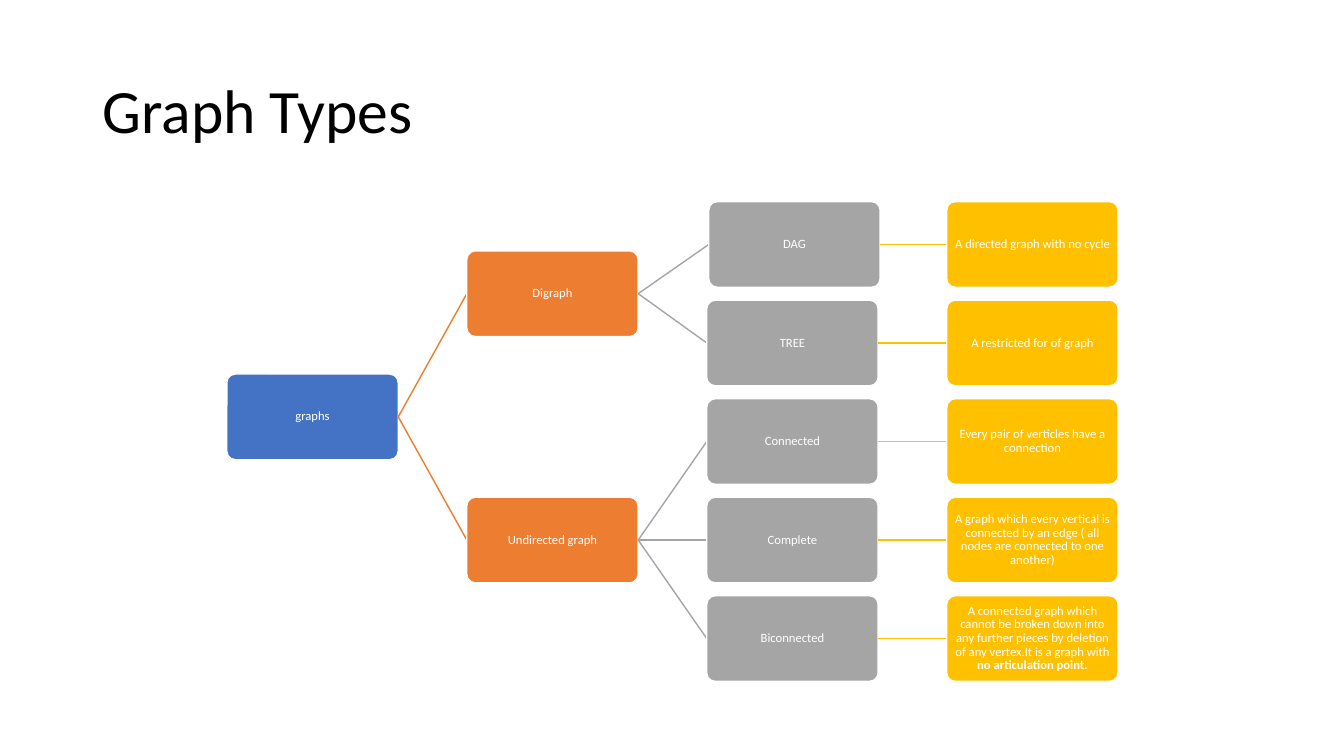
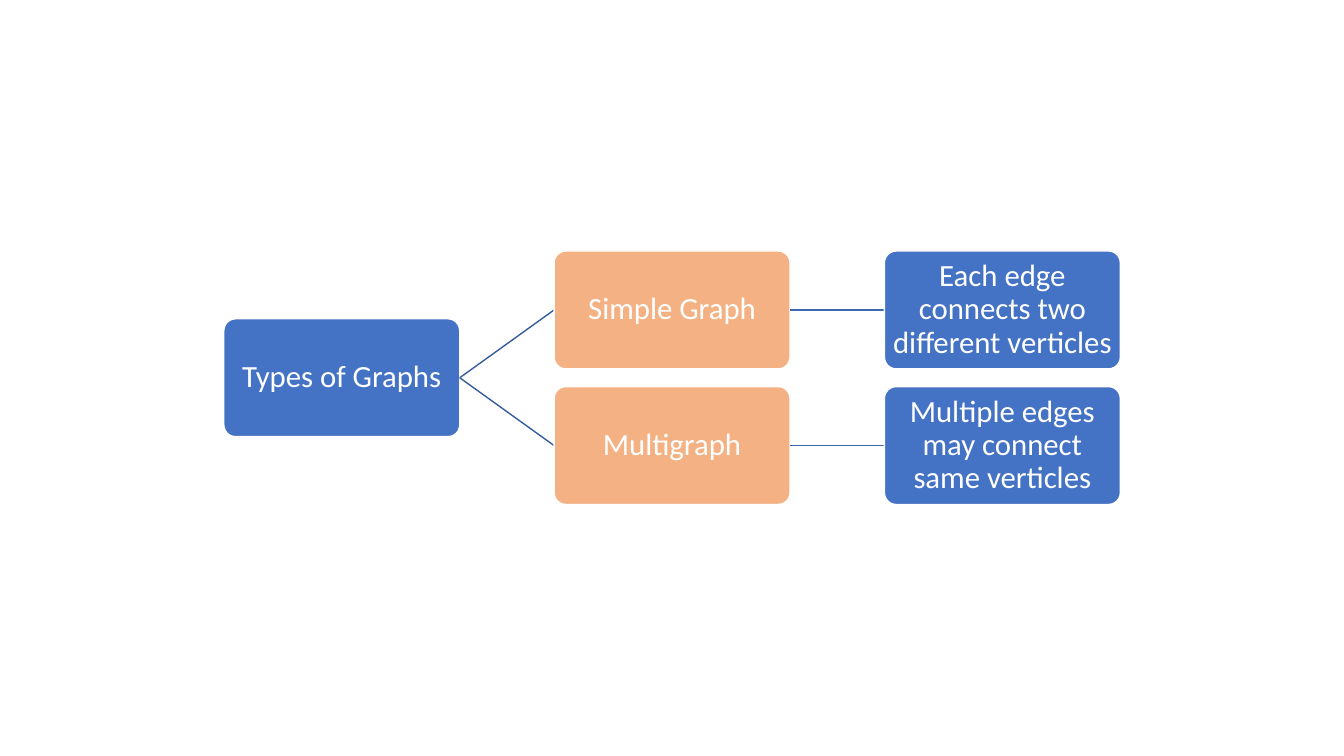
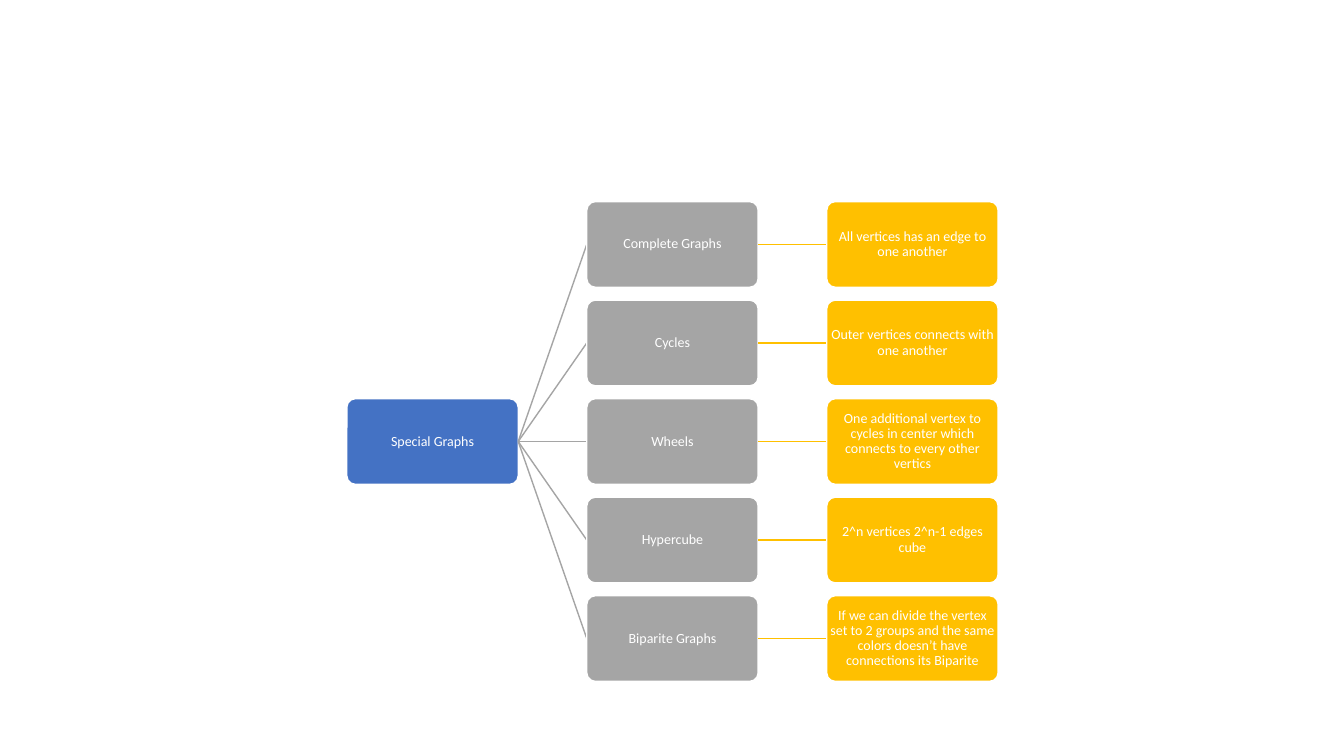
from dataclasses import dataclass

from lxml.etree import SubElement
from pptx import Presentation
from pptx.dml.color import RGBColor
from pptx.enum.shapes import MSO_CONNECTOR as Connector, MSO_SHAPE as Shape
from pptx.enum.text import MSO_ANCHOR as Anchor, PP_ALIGN as Align
from pptx.oxml.ns import qn
from pptx.util import Inches, Pt

BLACK = RGBColor(0x00, 0x00, 0x00)
WHITE = RGBColor(0xFF, 0xFF, 0xFF)
BLUE = RGBColor(0x44, 0x72, 0xC4)
DARK_BLUE = RGBColor(0x36, 0x5B, 0x9D)
MID_BLUE = RGBColor(0x3E, 0x67, 0xB2)
ORANGE = RGBColor(0xED, 0x7D, 0x31)
PEACH = RGBColor(0xF4, 0xB1, 0x83)
GRAY = RGBColor(0xA5, 0xA5, 0xA5)
GOLD = RGBColor(0xFF, 0xC0, 0x00)

FONT = "Calibri"
TITLE_ONLY, BLANK = 5, 6
LEFT_SITE, RIGHT_SITE = 1, 3


@dataclass
class Node:
    text: str
    children: tuple = ()
    bold_ending: str = ""
    shift: float = 0

    def leaf_count(self):
        return sum(child.leaf_count() for child in self.children) or 1

    def centre_row(self, first_row):
        """Row halfway between the first and the last child."""
        if not self.children:
            return first_row
        last = self.children[-1]
        last_row = first_row + self.leaf_count() - last.leaf_count()
        return (self.children[0].centre_row(first_row)
                + last.centre_row(last_row)) / 2


@dataclass
class TreeStyle:
    """Place and look of a tree; fills and links hold one colour per level."""
    left: float
    top: float
    box_height: float
    text_size: int
    margin: float
    fills: tuple
    links: tuple

    @property
    def box_width(self):
        return 2 * self.box_height

    @property
    def column_step(self):
        return 1.4 * self.box_width

    @property
    def row_step(self):
        return 1.15 * self.box_height


def set_all(target, values):
    for name, value in values.items():
        setattr(target, name, value)


def add_run(paragraph, text, size, color, bold=False):
    run = paragraph.add_run()
    run.text = text
    set_all(run.font, {"name": FONT, "size": Pt(size), "bold": bold})
    run.font.color.rgb = color


def add_title(slide, text):
    title = slide.shapes.title
    set_all(title, {"left": Inches(0.92), "top": Inches(0.4),
                    "width": Inches(11.5), "height": Inches(1.45)})
    title.text_frame.vertical_anchor = Anchor.MIDDLE
    paragraph = title.text_frame.paragraphs[0]
    set_all(paragraph, {"alignment": Align.LEFT, "line_spacing": 0.9})
    add_run(paragraph, text, 44, BLACK)


def add_link(slide, color):
    link = slide.shapes.add_connector(Connector.STRAIGHT, 0, 0, 0, 0)
    link.line.color.rgb = color
    link.line.width = Pt(1)
    SubElement(link._element.spPr, qn("a:effectLst"))
    return link


def add_box(slide, node, style, level, row):
    box = slide.shapes.add_shape(
        Shape.ROUNDED_RECTANGLE,
        Inches(style.left + level * style.column_step + node.shift),
        Inches(style.top + row * style.row_step),
        Inches(style.box_width), Inches(style.box_height))
    box.adjustments[0] = 0.1
    box.shadow.inherit = False
    box.fill.solid()
    box.fill.fore_color.rgb = style.fills[level]
    box.line.color.rgb = WHITE
    box.line.width = Pt(1)
    margin = Inches(style.margin)
    set_all(box.text_frame, {
        "word_wrap": True, "vertical_anchor": Anchor.MIDDLE,
        "margin_left": margin, "margin_right": margin,
        "margin_top": margin, "margin_bottom": margin})
    paragraph = box.text_frame.paragraphs[0]
    set_all(paragraph, {"alignment": Align.CENTER, "line_spacing": 0.9})
    add_run(paragraph, node.text, style.text_size, WHITE)
    if node.bold_ending:
        add_run(paragraph, node.bold_ending, style.text_size, WHITE, bold=True)
    return box


def add_tree(slide, node, style, level=0, first_row=0, parent_box=None):
    """Draw a node, the link from its parent and then its children."""
    link = add_link(slide, style.links[level - 1]) if parent_box else None
    box = add_box(slide, node, style, level, node.centre_row(first_row))
    if link:
        link.begin_connect(parent_box, RIGHT_SITE)
        link.end_connect(box, LEFT_SITE)
    for child in node.children:
        add_tree(slide, child, style, level + 1, first_row, box)
        first_row += child.leaf_count()


def described(name, description, bold_ending="", shift=0):
    return Node(name, (Node(description, bold_ending=bold_ending),), shift=shift)


GRAPH_TYPES = Node("graphs", (
    Node("Digraph", (
        described("DAG", "A directed graph with no cycle", shift=0.02),
        described("TREE", "A restricted for of graph"),
    )),
    Node("Undirected graph", (
        described("Connected", "Every pair of verticles have a connection"),
        described("Complete", "A graph which every vertical is connected by "
                  "an edge ( all nodes are connected to one another)"),
        described("Biconnected", "A connected graph which cannot be broken "
                  "down into any further pieces by deletion of any vertex."
                  "It is a graph with ", "no articulation point."),
    )),
))

EDGE_TYPES = Node("Types of Graphs", (
    described("Simple Graph", "Each edge connects two different verticles"),
    described("Multigraph", "Multiple edges may connect same verticles"),
))

SPECIAL_GRAPHS = Node("Special Graphs", (
    described("Complete Graphs", "All vertices has an edge to one another"),
    described("Cycles", "Outer vertices connects with one another"),
    described("Wheels", "One additional vertex to cycles in center which "
              "connects to every other vertics"),
    described("Hypercube", "2^n vertices 2^n-1 edges cube"),
    described("Biparite Graphs", "If we can divide the vertex set to 2 groups "
              "and the same colors doesn’t have connections its Biparite"),
))


def main():
    deck = Presentation()
    set_all(deck, {"slide_width": Inches(13.33), "slide_height": Inches(7.5)})

    def new_slide(layout):
        return deck.slides.add_slide(deck.slide_layouts[layout])

    types_slide = new_slide(TITLE_ONLY)
    add_title(types_slide, "Graph Types")
    add_tree(types_slide, GRAPH_TYPES, TreeStyle(
        2.25, 2, 0.85, 9, 0.01,
        fills=(BLUE, ORANGE, GRAY, GOLD), links=(ORANGE, GRAY, GOLD)))

    add_tree(new_slide(BLANK), EDGE_TYPES, TreeStyle(
        2.22, 2.49, 1.17, 22, 0.02,
        fills=(BLUE, PEACH, BLUE), links=(DARK_BLUE, MID_BLUE)))

    add_tree(new_slide(BLANK), SPECIAL_GRAPHS, TreeStyle(
        3.44, 2, 0.85, 10, 0.01,
        fills=(BLUE, GRAY, GOLD), links=(GRAY, GOLD)))

    deck.save("out.pptx")


if __name__ == "__main__":
    main()
